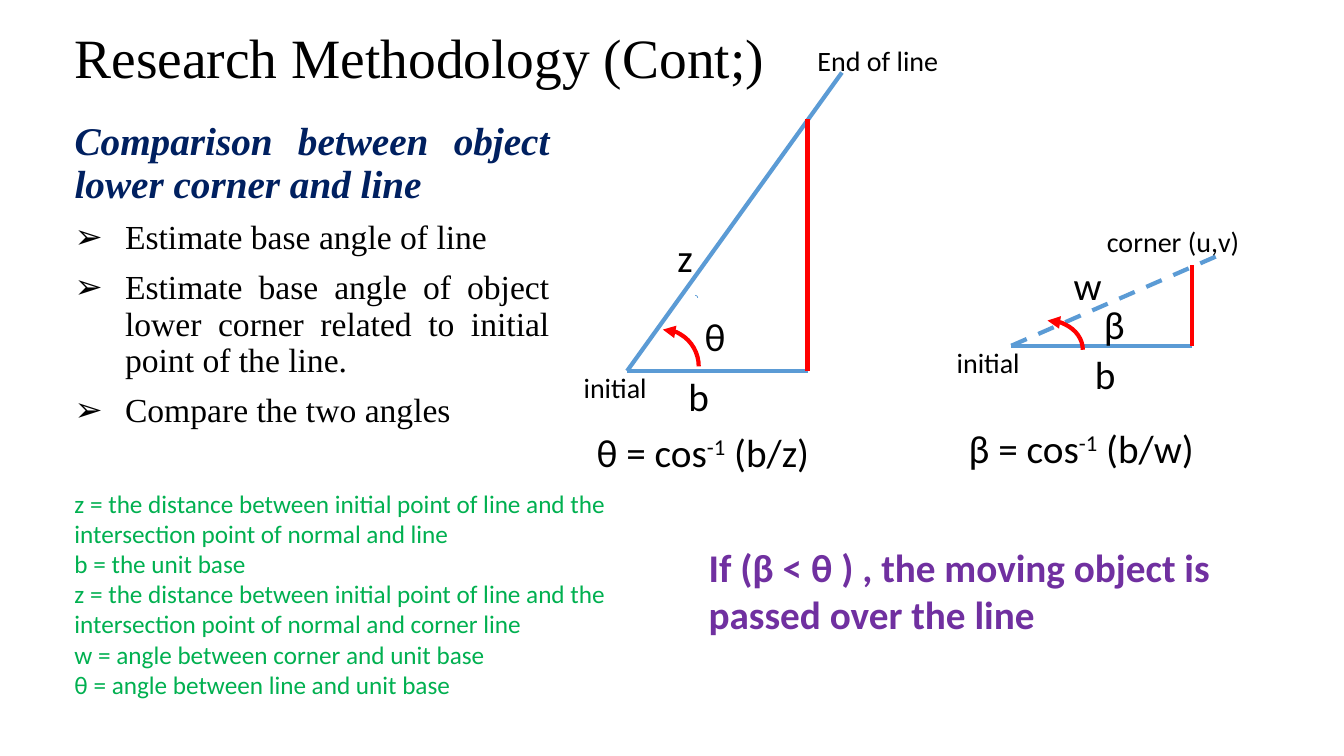
from lxml import etree
from pptx import Presentation
from pptx import util as u
from pptx.dml.color import RGBColor
from pptx.enum import dml, shapes, text
from pptx.oxml.ns import qn

SERIF, SANS = "Times New Roman", "Calibri"
BLACK, BLUE, RED = "000000", "5B9BD5", "FF0000"
NAVY, GREEN, PURPLE = "002060", "00B050", "7030A0"
BASE = 1.79  # shared length of the unit base


def color(value):
    return RGBColor.from_string(value)


def place(shape, box):
    shape.left, shape.top, shape.width, shape.height = map(u.Inches, box)


def add_span(para, words, size, tint=BLACK, face=SANS, bold=False, italic=False):
    span = para.add_run()
    span.text = words
    font = span.font
    font.name, font.size = face, u.Pt(size)
    font.bold, font.italic = bold, italic
    font.color.rgb = color(tint)
    return span


def add_text(parent, box, lines, size, tint=BLACK, bold=False):
    """Add a text box; each line is a list of (words, baseline shift)."""
    label = parent.shapes.add_textbox(*map(u.Inches, box))
    frame = label.text_frame
    frame.word_wrap = True
    for index, spans in enumerate(lines):
        para = frame.add_paragraph() if index else frame.paragraphs[0]
        for words, shift in spans:
            span = add_span(para, words, size, tint, bold=bold)
            if shift:
                span.font._element.set("baseline", str(shift * 1000))


def add_line(parent, start, end, tint, dashed=False):
    line = parent.shapes.add_connector(
        shapes.MSO_CONNECTOR.STRAIGHT, *map(u.Inches, (*start, *end)))
    line.line.color.rgb = color(tint)
    line.line.width = u.Pt(3)
    if dashed:
        line.line.dash_style = dml.MSO_LINE.DASH
    etree.SubElement(line._element.spPr, qn("a:effectLst"))


def add_arc(parent, box, tint, width, arrow=False):
    arc = parent.shapes.add_shape(shapes.MSO_SHAPE.ARC, *map(u.Inches, box))
    arc.shadow.inherit = False
    arc.fill.background()
    arc.line.color.rgb = color(tint)
    arc.line.width = u.Pt(width)
    if arrow:
        outline = arc.line._get_or_add_ln()
        etree.SubElement(outline, qn("a:headEnd"), type="triangle")


def set_bullet(para, mark=None):
    props = para._p.get_or_add_pPr()
    indent = u.Inches(0.5) if mark else 0
    props.set("marL", str(indent))
    props.set("indent", str(-indent))
    if mark:
        etree.SubElement(props, qn("a:buChar"), char=mark)
    else:
        etree.SubElement(props, qn("a:buNone"))


def fill_title(page, box):
    title = page.shapes.title
    place(title, box)
    frame = title.text_frame
    frame.auto_size = text.MSO_AUTO_SIZE.NONE
    frame.vertical_anchor = text.MSO_ANCHOR.MIDDLE
    para = frame.paragraphs[0]
    para.alignment = text.PP_ALIGN.LEFT
    para.line_spacing = 0.9
    add_span(para, "Research Methodology (Cont;)", 39.6, face=SERIF)


def fill_steps(page, box, heading, steps):
    body = page.placeholders[1]
    place(body, box)
    frame = body.text_frame
    frame.auto_size = text.MSO_AUTO_SIZE.NONE
    for index, words in enumerate([heading, *steps]):
        para = frame.add_paragraph() if index else frame.paragraphs[0]
        para.alignment = text.PP_ALIGN.JUSTIFY
        para.line_spacing = 0.9
        para.space_before = u.Pt(10 if index else 0)
        set_bullet(para, "➢" if index else None)
        if index:
            add_span(para, words, 24, face=SERIF)
        else:
            add_span(para, words, 28, NAVY, SERIF, bold=True, italic=True)


def draw_angle(page, vertex, ray_end, normal_height, arc, labels, formula, dashed=False):
    """Draw an angle figure; every position is an offset from its vertex."""
    figure = page.shapes.add_group_shape()

    def at(dx, dy):
        return round(vertex[0] + dx, 2), round(vertex[1] + dy, 2)

    add_line(figure, vertex, at(*ray_end), BLUE, dashed)
    add_line(figure, vertex, at(BASE, 0), BLUE)
    add_line(figure, at(BASE, 0), at(BASE, -normal_height), RED)
    add_arc(figure, (*at(*arc[:2]), *arc[2:]), RED, 3, arrow=True)
    for words, offset, width, size in labels:
        height = 0.57 if size == 28 else 0.44
        add_text(figure, (*at(*offset), width, height), [[(words, 0)]], size)
    start, ratio, offset = formula
    spans = [(start, 0), ("-1", 30), (ratio, 0)]
    add_text(figure, (*at(*offset), 3.14, 0.57), [spans], 28)


def main():
    deck = Presentation()
    deck.slide_width, deck.slide_height = u.Inches(13.33), u.Inches(7.5)
    page = deck.slides.add_slide(deck.slide_layouts[1])

    # Title and steps
    fill_title(page, (0.64, 0.25, 11.5, 0.7))
    fill_steps(page, (0.64, 1.16, 4.91, 4.76),
               "Comparison between object lower corner and line",
               ["Estimate base angle of line",
                "Estimate base angle of object lower corner related to "
                "initial point of the line.",
                "Compare the two angles"])

    # Small arc beside the line
    add_arc(page, (6.87, 2.93, 0.05, 0.05), BLUE, 0.5)

    # Angle of the line
    draw_angle(page, (6.22, 3.68), (2.13, -2.96), 2.5, (0, -0.41, 0.71, 0.73),
               [("End of line", (1.79, -3.3), 1.76, 20),
                ("b", (0.51, -0.04), 0.87, 28),
                ("θ", (0.67, -0.63), 0.87, 28),
                ("z", (0.4, -1.41), 0.87, 28),
                ("initial", (-0.53, -0.05), 0.96, 20)],
               ("θ = cos", " (b/z)", (-0.4, 0.52)))

    # Angle of the object corner
    draw_angle(page, (10.03, 3.43), (2.11, -0.92), 0.8, (0.01, -0.25, 0.7, 0.58),
               [("corner (u,v)", (0.85, -1.25), 1.76, 20),
                ("b", (0.73, 0), 0.87, 28),
                ("β", (0.82, -0.5), 0.87, 28),
                ("w", (0.52, -0.89), 0.87, 28),
                ("initial", (-0.64, -0.05), 0.96, 20)],
               ("β = cos", " (b/w)", (-0.52, 0.73)), dashed=True)

    # Legend and conclusion
    legend = ["z = the distance between initial point of line and the "
              "intersection point of normal and line",
              "b = the unit base",
              "z = the distance between initial point of line and the "
              "intersection point of normal and corner line",
              "w = angle between corner and unit base",
              "θ = angle between line and unit base"]
    add_text(page, (0.64, 4.79, 5.91, 2.22),
             [[(words, 0)] for words in legend], 18, GREEN)
    add_text(page, (6.93, 5.34, 5.91, 1.04),
             [[("If (β < θ ) , the moving object is passed over the line", 0)]],
             28, PURPLE, bold=True)

    deck.save("out.pptx")


if __name__ == "__main__":
    main()
